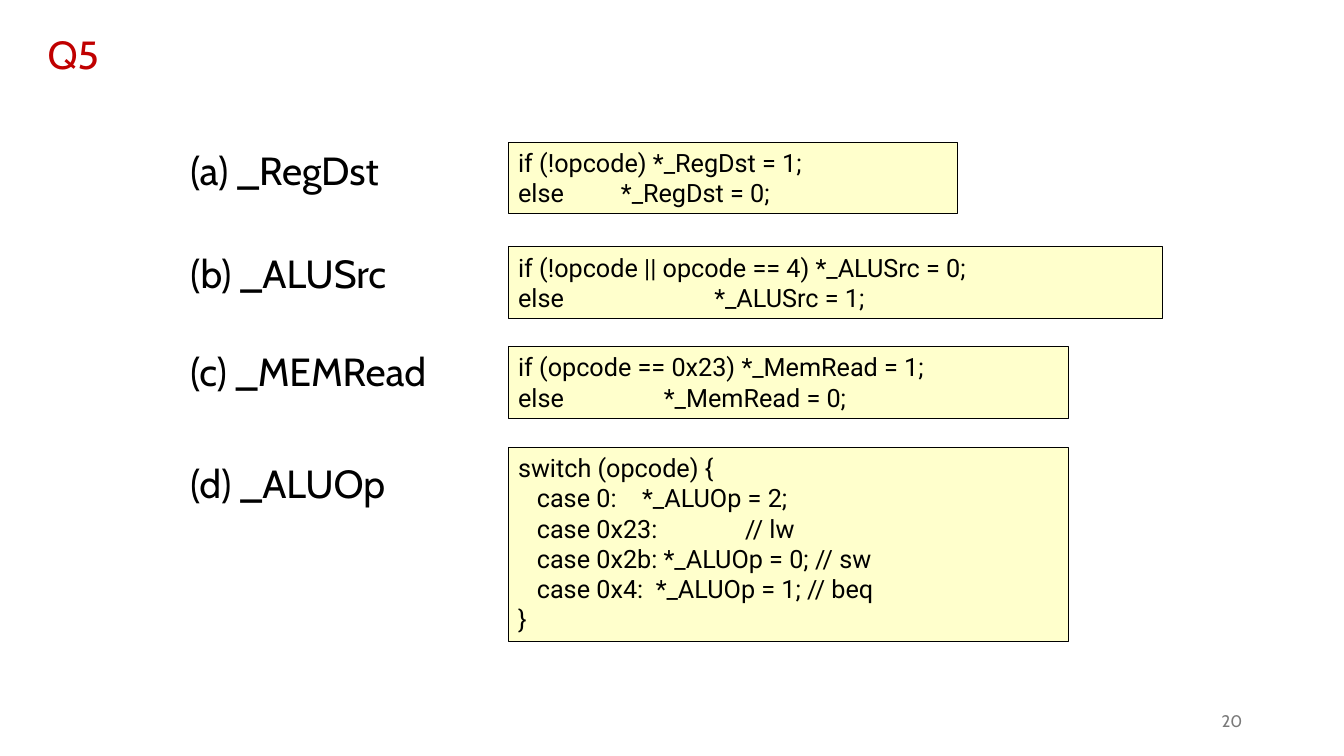
"""Build the Q5 answer slide: four control signals beside their code."""
from dataclasses import dataclass

from lxml import etree
from pptx import Presentation
from pptx.dml.color import RGBColor
from pptx.enum.shapes import MSO_SHAPE
from pptx.enum.text import MSO_ANCHOR, MSO_AUTO_SIZE, PP_ALIGN
from pptx.oxml.ns import qn
from pptx.util import Emu, Inches, Pt

RECTANGLE = MSO_SHAPE.RECTANGLE
TOP, MIDDLE = MSO_ANCHOR.TOP, MSO_ANCHOR.MIDDLE
GROW, FIXED = MSO_AUTO_SIZE.SHAPE_TO_FIT_TEXT, MSO_AUTO_SIZE.NONE
LEFT, CENTER, RIGHT = PP_ALIGN.LEFT, PP_ALIGN.CENTER, PP_ALIGN.RIGHT

SLIDE_WIDTH, SLIDE_HEIGHT = Inches(13.33), Inches(7.5)
HEADING_FONT, CODE_FONT = "Cabin", "Roboto"
BLACK, RED, GREY, CREAM = "000000", "C00000", "797979", "FFFFCC"


@dataclass(frozen=True)
class Area:
    """A rectangle in percent of the slide's width and height."""
    left: float
    top: float
    width: float
    height: float

    def emu(self) -> tuple[Emu, Emu, Emu, Emu]:
        """Return left, top, width and height as lengths."""
        across, down = SLIDE_WIDTH / 100, SLIDE_HEIGHT / 100
        return (Emu(round(self.left * across)), Emu(round(self.top * down)),
                Emu(round(self.width * across)), Emu(round(self.height * down)))


@dataclass(frozen=True)
class CodeLine:
    """A line of code with its tab stops in percent of the slide's width."""
    text: str
    stops: tuple[float, ...] = ()


@dataclass(frozen=True)
class Answer:
    """A signal's label and the code that sets it."""
    label: str
    label_top: float
    code_top: float
    code_width: float
    code_height: float
    code: tuple[CodeLine, ...]


INDENT = 1.4
ANSWERS = (
    Answer("(a) _RegDst", 18.67, 18.8, 33.46, 9.47, (
        CodeLine("if (!opcode) *_RegDst = 1;"),
        CodeLine("else\t*_RegDst = 0;", (7.65,)))),
    Answer("(b) _ALUSrc", 32.27, 32.67, 48.69, 9.47, (
        CodeLine("if (!opcode || opcode == 4) *_ALUSrc = 0;"),
        CodeLine("else\t*_ALUSrc = 1;", (14.6,)))),
    Answer("(c) _MEMRead", 45.33, 45.87, 41.71, 9.47, (
        CodeLine("if (opcode == 0x23) *_MemRead = 1;"),
        CodeLine("else\t*_MemRead = 0;", (10.85,)))),
    Answer("(d) _ALUOp", 60.13, 59.2, 41.71, 25.6, (
        CodeLine("switch (opcode) {"),
        CodeLine("\tcase 0:\t*_ALUOp = 2;", (INDENT, 9.23)),
        CodeLine("\tcase 0x23:\t// lw", (INDENT, 16.9)),
        CodeLine("\tcase 0x2b: *_ALUOp = 0; // sw", (INDENT,)),
        CodeLine("\tcase 0x4:\t*_ALUOp = 1; // beq", (INDENT, 10.25)),
        CodeLine("}"))),
)


def colour(value: str) -> RGBColor:
    """Turn a hex string into a colour."""
    return RGBColor.from_string(value)


def add_tab_stops(paragraph, stops: tuple[float, ...]) -> None:
    """Give the paragraph left-aligned tab stops."""
    tab_list = etree.SubElement(paragraph._p.get_or_add_pPr(), qn("a:tabLst"))
    for stop in stops:
        position = round(stop * SLIDE_WIDTH / 100)
        etree.SubElement(tab_list, qn("a:tab"), pos=str(position), algn="l")


def write(target, *lines: CodeLine, size: float = 28, font: str = HEADING_FONT,
          ink: str = BLACK, align=LEFT, anchor=TOP, fit=GROW) -> None:
    """Write formatted lines into a shape, one paragraph each."""
    frame = target.text_frame
    frame.word_wrap = True
    frame.auto_size = fit
    frame.vertical_anchor = anchor
    for index, line in enumerate(lines):
        paragraph = frame.add_paragraph() if index else frame.paragraphs[0]
        paragraph.alignment = align
        if line.stops:
            add_tab_stops(paragraph, line.stops)
        run = paragraph.add_run()
        run.text = line.text
        run.font.size = Pt(size)
        run.font.name = font
        run.font.color.rgb = colour(ink)


def add_label(slide, text: str, area: Area, **style) -> None:
    """Add a plain text box."""
    write(slide.shapes.add_textbox(*area.emu()), CodeLine(text), **style)


def add_code(slide, lines: tuple[CodeLine, ...], area: Area) -> None:
    """Add a bordered panel of code."""
    panel = slide.shapes.add_shape(RECTANGLE, *area.emu())
    panel.shadow.inherit = False
    panel.fill.solid()
    panel.fill.fore_color.rgb = colour(CREAM)
    panel.line.color.rgb = colour(BLACK)
    panel.line.width = Pt(0.75)
    write(panel, *lines, size=18, font=CODE_FONT)


def main() -> None:
    """Build and save the presentation."""
    presentation = Presentation()
    presentation.slide_width, presentation.slide_height = SLIDE_WIDTH, SLIDE_HEIGHT
    slide = presentation.slides.add_slide(presentation.slide_layouts[6])
    add_label(slide, "Q5", Area(1.73, 3.33, 7.43, 7.6), ink=RED, align=CENTER)
    for answer in ANSWERS:
        add_label(slide, answer.label, Area(13.43, answer.label_top, 20.78, 7.6))
        add_code(slide, answer.code, Area(37.81, answer.code_top,
                                          answer.code_width, answer.code_height))
    add_label(slide, "20", Area(70.67, 92.67, 22.51, 5.33), size=12, ink=GREY,
              align=RIGHT, anchor=MIDDLE, fit=FIXED)
    presentation.save("out.pptx")


if __name__ == "__main__":
    main()
